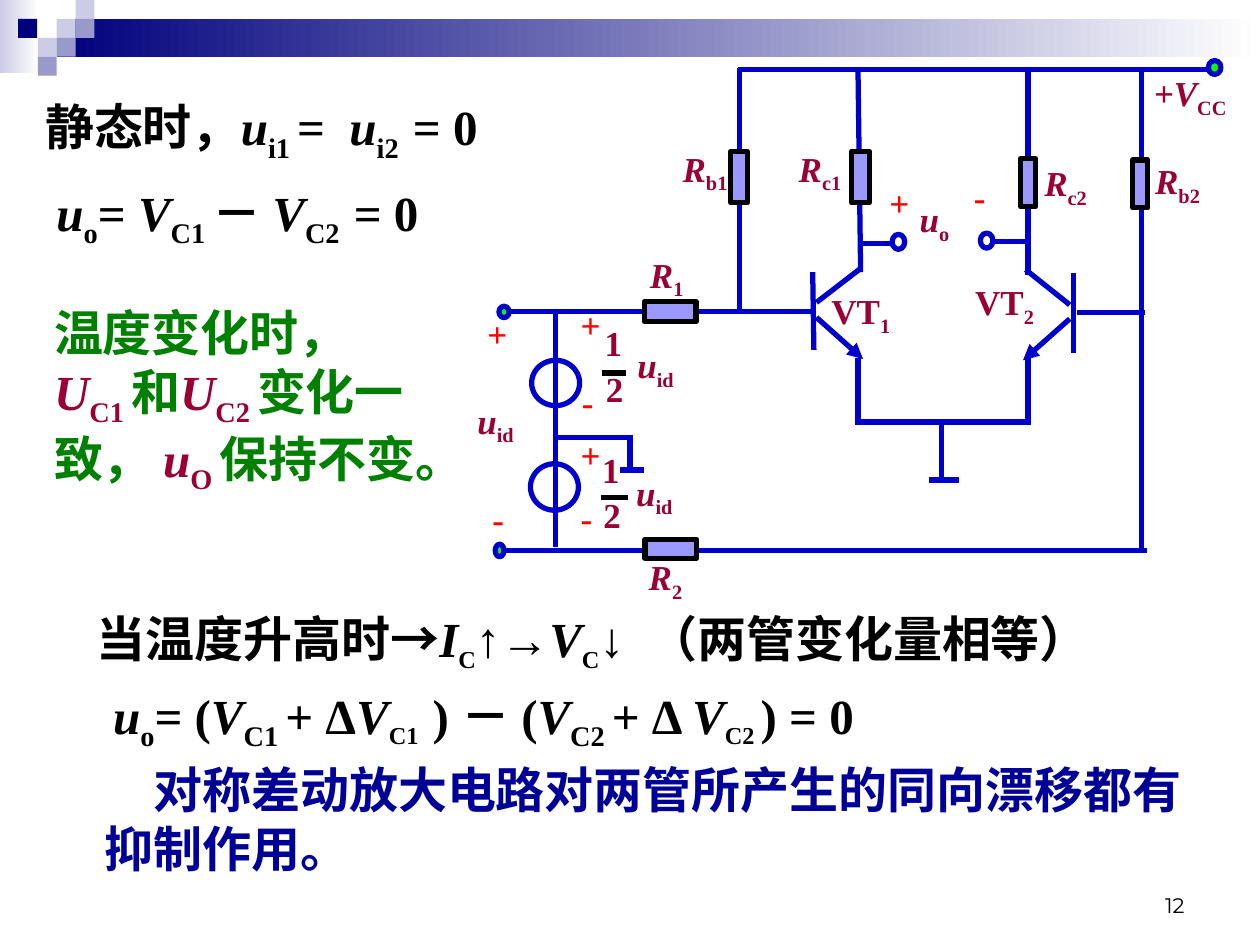
from lxml import etree
from pptx import Presentation
from pptx.dml.color import RGBColor
from pptx.enum import shapes, text
from pptx.oxml import ns
from pptx.util import Pt

NAVY = RGBColor(0x00, 0x00, 0x7D)
LAVENDER = RGBColor(0xCC, 0xCC, 0xE6)
PERIWINKLE = RGBColor(0x99, 0x99, 0xCC)
WHITE = RGBColor(0xFF, 0xFF, 0xFF)
BLACK = RGBColor(0x00, 0x00, 0x00)
WIRE_BLUE = RGBColor(0x00, 0x00, 0xCC)
RESISTOR_BLUE = RGBColor(0x99, 0x99, 0xFF)
TERMINAL_GREEN = RGBColor(0x00, 0xFF, 0x00)
TEXT_GREEN = RGBColor(0x00, 0x80, 0x00)
TEXT_BLUE = RGBColor(0x00, 0x00, 0x99)
MAROON = RGBColor(0x99, 0x00, 0x33)
RED = RGBColor(0xFF, 0x00, 0x00)

RECT = shapes.MSO_SHAPE.RECTANGLE
OVAL = shapes.MSO_SHAPE.OVAL

deck = Presentation()
deck.slide_width, deck.slide_height = Pt(720), Pt(540)
slide = deck.slides.add_slide(deck.slide_layouts[6])


def draw(kind, box, fill=None, line=None, fade_to=None):
    figure = slide.shapes.add_shape(kind, *map(Pt, box))
    figure.shadow.inherit = False
    if fill is None:
        figure.fill.background()
    elif fade_to is not None:
        figure.fill.gradient()
        figure.fill.gradient_angle = 0
        for stop, color in zip(figure.fill.gradient_stops, (fill, fade_to)):
            stop.color.rgb = color
    else:
        figure.fill.solid()
        figure.fill.fore_color.rgb = fill
    if line is None:
        figure.line.fill.background()
    else:
        figure.line.color.rgb = line
        figure.line.width = Pt(3)


def write(marked, box, size=20, color=MAROON, font="Times New Roman", bold=True,
          align=text.PP_ALIGN.LEFT, anchor=text.MSO_ANCHOR.TOP, indent=0):
    """Runs are split by | and led by style letters: i italic, s subscript, t 24 pt, a maroon."""
    frame = slide.shapes.add_textbox(*map(Pt, box)).text_frame
    frame.word_wrap = True
    frame.vertical_anchor = anchor
    paragraph = frame.paragraphs[0]
    paragraph.alignment = align
    if indent:
        paragraph._p.get_or_add_pPr().set("indent", str(Pt(indent)))
    for part in marked.split("|"):
        style, _, words = part.partition(":")
        run = paragraph.add_run()
        run.text = words
        run.font.name = font
        run.font.size = Pt(24 if "t" in style else size)
        run.font.bold = bold
        run.font.italic = "i" in style
        run.font.color.rgb = MAROON if "a" in style else color
        if "s" in style:
            run._r.get_or_add_rPr().set("baseline", "-25000")


draw(RECT, (0, 0, 22.3, 41.8), LAVENDER, fade_to=WHITE)
draw(RECT, (32.4, 10.8, 687.6, 21.6), NAVY, fade_to=WHITE)
for left, top, color in [
    (32.4, 10.8, LAVENDER), (43.2, 0, LAVENDER), (43.2, 10.8, PERIWINKLE),
    (21.6, 21.6, LAVENDER), (10.4, 10.8, NAVY), (32.4, 21.6, PERIWINKLE),
    (21.6, 32.4, PERIWINKLE),
]:
    draw(RECT, (left, top, 10.8, 10.8), color)

write(":12", (516.2, 491.8, 167.8, 36), size=12, color=BLACK, font="Montserrat",
      bold=False, align=text.PP_ALIGN.RIGHT, anchor=text.MSO_ANCHOR.BOTTOM)

for statement, box, color, indent in [
    (":温度变化时， |ia:U|sa:C1 |:和|ia:U|sa:C2 |:变化一致， |ia:u|sa:O |:保持不变。",
     (23.8, 169.2, 223.9, 141.8), TEXT_GREEN, 0),
    ("i:u|s:o|:= |i:V|s:C1 |:－ |i:V|s:C2  |:= 0", (25.2, 100.8, 311.8, 41), BLACK, 0),
    ("i:u|s:o|:= (|i:V|s:C1 |:+ Δ|i:V|st:C1|s:  |:) － (|i:V|s:C2 |:+ Δ |i:V|st:C2 |:) = 0",
     (57.6, 388.1, 566.6, 41), BLACK, 0),
    (":静态时，|i:u|s:i1 |:=  |i:u|s:i2  |:= 0", (18.7, 51.8, 334.1, 41), BLACK, 0),
    (":当温度升高时→|i:I|st:C|:↑→|i:V|st:C|:↓  （两管变化量相等）",
     (48.2, 344.2, 617.8, 41), BLACK, 0),
    (":对称差动放大电路对两管所产生的同向漂移都有抑制作用。",
     (52.6, 430.6, 638.6, 74.2), TEXT_BLUE, 28),
]:
    write(statement, box, size=28, color=color, indent=indent)

supply_wires = [
    (421.9, 39.6, 691.2, 39.6), (422.6, 39, 422.6, 178.6), (490.3, 39.6, 491.8, 155.5),
    (587.5, 39.6, 587.5, 157), (652.3, 39, 652.3, 316),
]
transistor_wires = [
    (464.4, 155.5, 465.1, 200), (466.6, 172.8, 491.8, 153.4),
    (613.4, 156.2, 613.4, 201.6), (611.3, 174.2, 586.1, 154.1),
    (490.3, 204.5, 490.3, 242.6), (587.5, 204.5, 587.5, 242.6),
    (489.6, 241.2, 588.2, 241.2), (537.8, 242.6, 537.8, 274.3),
    (530.6, 274.3, 547.9, 274.3),
]
output_wires = [(492.5, 139, 510.5, 139), (587.5, 138.2, 567.4, 138.2)]
input_wires = [
    (292.3, 177.8, 465.8, 177.8), (615.6, 178.6, 654.5, 178.6),
    (288.7, 314.6, 655.2, 314.6), (317.5, 179.3, 317.5, 312.5),
    (319, 249.8, 360, 249.8), (360, 248.4, 360, 268.6), (354.2, 268.6, 367.9, 268.6),
]
emitters = [(466.6, 181.4, 493.2, 205.2), (611.3, 182.2, 584.6, 205.9)]
fraction_bars = [(344.2, 213.1, 357.8, 213.1), (343.4, 284.4, 358.6, 284.4)]

for route in (supply_wires + transistor_wires + output_wires + input_wires
              + emitters + fraction_bars):
    wire = slide.shapes.add_connector(shapes.MSO_CONNECTOR.STRAIGHT, *map(Pt, route))
    wire.line.color.rgb = BLACK if route in fraction_bars else WIRE_BLUE
    wire.line.width = Pt(3)
    if route in emitters:
        etree.SubElement(wire.line._get_or_add_ln(), ns.qn("a:tailEnd"), type="triangle")
    etree.SubElement(wire._element.spPr, ns.qn("a:effectLst"))

for resistor in [
    (486.7, 86.4, 10.1, 29.5), (583.2, 90.7, 8.6, 27.4), (417.6, 86.4, 9.4, 29.5),
    (647.3, 91.4, 8.6, 27.4), (368.6, 308.2, 29.5, 10.8), (368.3, 172.4, 29.5, 11.5),
]:
    draw(RECT, resistor, RESISTOR_BLUE, BLACK)

for terminal in [(285.1, 175, 5.8, 6.5), (283, 311, 5, 7.2), (690.5, 34.6, 7.2, 7.9)]:
    draw(OVAL, terminal, TERMINAL_GREEN, WIRE_BLUE)

for ring in [(509.8, 133.9, 7.2, 8.6), (560.2, 133.2, 7.2, 8.6),
             (303.1, 265, 27.4, 26.6), (303.8, 205.9, 27.4, 25.9)]:
    draw(OVAL, ring, line=WIRE_BLUE)

for sign, left, top in [
    ("+", 501.1, 100.1), ("-", 549.4, 96.5), ("+", 324.7, 244.1), ("-", 324.7, 280.1),
    ("+", 271.4, 175), ("-", 274.3, 280.8), ("+", 324.7, 169.9), ("-", 325.4, 213.8),
]:
    write(":" + sign, (left, top, 29.5, 31), color=RED)

for label, left, top, width in [
    ("i:u|s:o", 518.4, 109.4, 41),
    ("i:u|s:id", 265.7, 224.6, 43.9),
    ("i:u|s:id", 357.1, 193, 43.9),
    ("i:u|s:id", 356.4, 265.7, 43.9),
    (":1", 338.4, 180, 31.7),
    (":2", 339.1, 206.6, 31.7),
    (":1", 337, 252.7, 35.3),
    (":2", 337.7, 278.6, 35.3),
    ("i:+V|s:CC", 652.3, 37.4, 77),
    ("i:R|s:2", 363.6, 313.9, 52.6),
    ("i:R|s:1", 364.3, 141.1, 43.2),
    ("i:R|s:b1", 383, 80.6, 55.4),
    ("i:R|s:b2", 653, 87.8, 54.7),
    ("i:R|s:c1", 449.3, 80.6, 56.9),
    ("i:R|s:c2", 589.7, 88.6, 55.4),
    (":VT|s:1", 468, 162, 62.6),
    (":VT|s:2", 550.1, 157, 65.5),
]:
    write(label, (left, top, width, 31))

deck.save("out.pptx")
